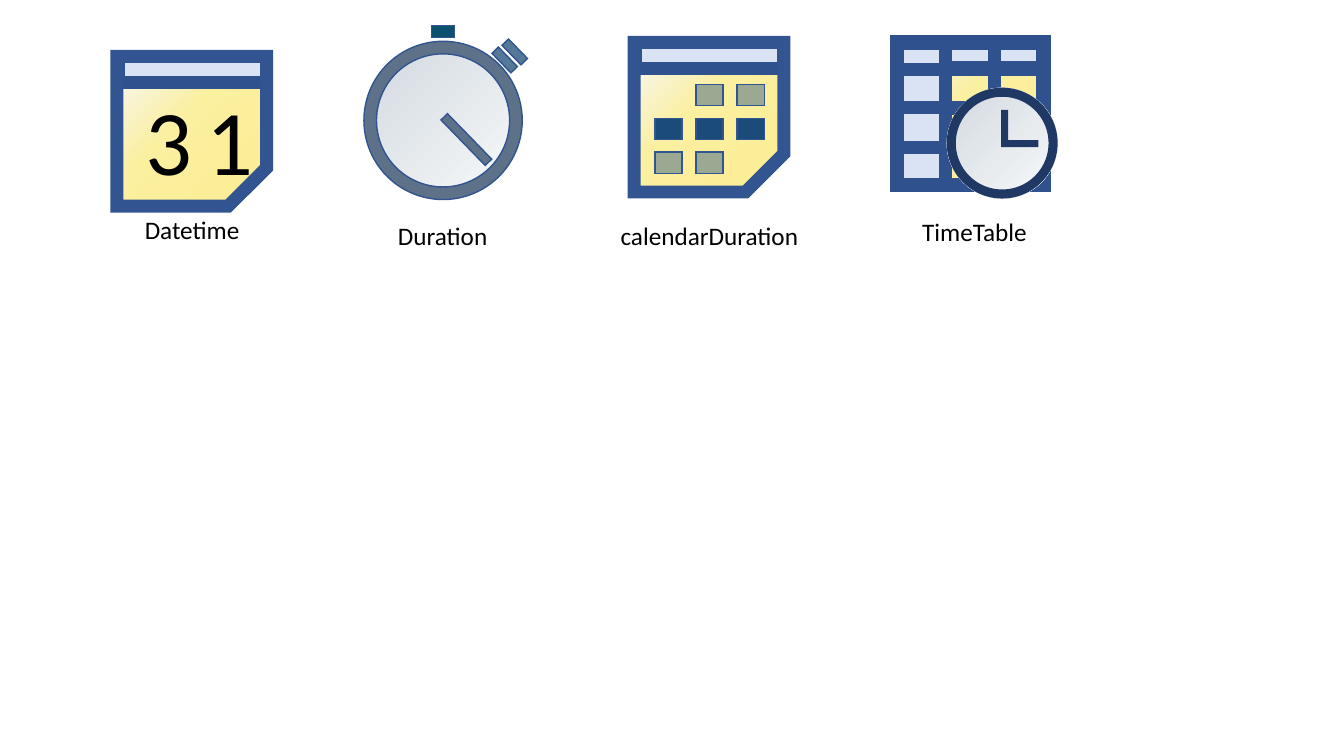
from lxml import etree
from pptx import Presentation
from pptx.dml.color import RGBColor
from pptx.enum.shapes import MSO_SHAPE
from pptx.enum.text import MSO_ANCHOR, MSO_AUTO_SIZE, PP_ALIGN
from pptx.oxml.ns import qn
from pptx.util import Inches, Pt

RECT, OVAL, RING = MSO_SHAPE.RECTANGLE, MSO_SHAPE.OVAL, MSO_SHAPE.DONUT
TOP, MID = MSO_ANCHOR.TOP, MSO_ANCHOR.MIDDLE
CENTER, GROW = PP_ALIGN.CENTER, MSO_AUTO_SIZE.SHAPE_TO_FIT_TEXT

PAPER = [(0, "F6F8FC"), (43, "FBEFA0"), (100, "FCEE94")]
GLASS = [(0, "D0D8DE"), (100, "F9FAFB")]
PALE, FRAME, EDGE = "DAE3F3", "2F528F", "325491"
STEEL, KNOB, NAVY = "5D7288", "547998", "203864"
SAGE, DEEP, TEAL = "9BA993", "1A4B79", "0C516E"
THICK, THIN = (FRAME, 9.25), (EDGE, 1)


def tint(text):
    return RGBColor.from_string(text)


def cell(count):
    """Turn a count of grid cells, ten to the inch, into a length."""
    return Inches(count / 10)


class Pen:
    """Draws icons on a grid of tenth-inch columns and rows."""

    font = {"name": "Calibri", "color": "000000"}

    def __init__(self, slide):
        self.slide = slide
        self.home()

    def home(self):
        self.shapes = self.slide.shapes

    def group(self):
        self.shapes = self.slide.shapes.add_group_shape().shapes

    def style(self, shape, fill, line):
        shape.shadow.inherit = False
        if fill is None:
            shape.fill.background()
        elif isinstance(fill, str):
            shape.fill.solid()
            shape.fill.fore_color.rgb = tint(fill)
        else:
            shape.fill.gradient()
            shape.fill.gradient_angle = 315
            stops = shape._element.spPr.find(".//" + qn("a:gsLst"))
            for old in list(stops):
                stops.remove(old)
            for place, shade in fill:
                stop = etree.SubElement(stops, qn("a:gs"), pos=str(place * 1000))
                etree.SubElement(stop, qn("a:srgbClr"), val=shade)
        if line is None:
            shape.line.fill.background()
            return
        shape.line.color.rgb = tint(line[0])
        shape.line.width = Pt(line[1])
        edge = shape._element.spPr.find(qn("a:ln"))
        etree.SubElement(edge, qn("a:miter"), lim="800000")

    def shape(self, kind, box, fill=None, line=None, turn=0, bends=()):
        shape = self.shapes.add_shape(kind, *map(cell, box))
        shape.rotation = turn
        for spot, bend in enumerate(bends):
            shape.adjustments[spot] = bend
        self.style(shape, fill, line)

    def trace(self, dots, fill=None, line=None):
        start, *rest = [(cell(x), cell(y)) for x, y in dots]
        path = self.shapes.build_freeform(*start)
        path.add_line_segments(rest, close=True)
        self.style(path.convert_to_shape(), fill, line)

    def sheet(self, col, row, size, fold, fill=None, line=None):
        right, base = col + size, row + size
        dots = [(col, row), (right, row), (right, base - fold),
                (right - fold, base), (col, base)]
        self.trace(dots, fill, line)

    def hands(self, col, row, size, thick, fill):
        right, base = col + size, row + size
        dots = [(col, row), (col + thick, row), (col + thick, base - thick),
                (right, base - thick), (right, base), (col, base)]
        self.trace(dots, fill)

    def text(self, words, box, size=18, anchor=TOP, gap=0):
        area = self.shapes.add_textbox(*map(cell, box))
        frame = area.text_frame
        form = {"word_wrap": False, "auto_size": GROW, "vertical_anchor": anchor}
        for key, value in form.items():
            setattr(frame, key, value)
        line = frame.paragraphs[0]
        line.alignment = CENTER
        run = line.add_run()
        run.text = words
        for key, value in {"name": self.font["name"], "size": Pt(size)}.items():
            setattr(run.font, key, value)
        run.font.color.rgb = tint(self.font["color"])
        if gap:
            run._r.get_or_add_rPr().set("spc", str(gap * 100))

    def dial(self, col, row, size, rim, shade, line=None):
        box = (col, row, size, size)
        self.shape(OVAL, box, GLASS)
        self.shape(RING, box, shade, line, bends=[rim / size])

    def page(self, col, row, day=None):
        self.sheet(col + 0.05, row, 14.65, 3.2, PAPER)
        if day:
            self.text(day, (col + 1.1, row + 2.1, 14.2, 12.1), 66, MID, 10)
        self.shape(RECT, (col + 0.15, row, 14.7, 2.6), PALE, THICK)
        self.sheet(col, row, 14.85, 3.8, line=(EDGE, 9.25))


def stopwatch(pen):
    pen.group()
    pen.dial(36.1, 4.1, 15.7, 1.25, STEEL, THIN)
    pen.shape(RECT, (42.8, 2.5, 2.3, 1.2), TEAL, THIN)
    bars = [(48.7, 5.5, 2.7, KNOB), (49.7, 4.7, 2.7, KNOB), (43.1, 13.4, 6.3, STEEL)]
    for col, row, wide, shade in bars:
        pen.shape(RECT, (col, row, wide, 0.9), shade, THIN, 45.8)
    pen.home()


def planner(pen):
    pen.group()
    pen.page(62.9, 4.2)
    weeks = [(SAGE, (1, 2)), (DEEP, (0, 1, 2)), (SAGE, (0, 1))]
    for week, (shade, days) in enumerate(weeks):
        for day in days:
            box = (64.95 + 4.08 * day, 8.4 + 3.35 * week, 2.7, 2.1)
            pen.shape(RECT, box, shade, THIN)
    pen.home()


def table(pen):
    left, wide = 88.9, 14.7
    pen.group()
    pen.shape(RECT, (left, 3.9, wide, 14.6), PAPER)
    pen.shape(RECT, (left, 4.1, wide, 2.6), PALE, THICK)
    pen.shape(RECT, (left, 10.8, wide, 3.8), line=THICK)
    for step, fill in ((2, None), (1, None), (0, PALE)):
        pen.shape(RECT, (84.4 + 4.8 * step, 8.9, 14, 4.8), fill, THICK, 90)
    for row in (6.9, 14.6):
        pen.shape(RECT, (left, row, wide, 3.8), line=THICK)
    pen.text("TimeTable", (90.4, 21, 12.5, 4))
    pen.dial(93.9, 8.7, 11, 0.9, NAVY)
    pen.hands(99.3, 10.9, 3.7, 0.7, NAVY)
    pen.home()


def main():
    deck = Presentation()
    deck.slide_width, deck.slide_height = Inches(13.33), Inches(7.5)
    pen = Pen(deck.slides.add_slide(deck.slide_layouts[6]))
    pen.page(11.6, 5.6, "31")
    pen.text("Datetime", (13.3, 20.8, 11.5, 4))
    stopwatch(pen)
    pen.text("Duration", (38.4, 21.4, 11, 4))
    pen.text("calendarDuration", (60.4, 21.4, 19.9, 4))
    planner(pen)
    table(pen)
    deck.save("out.pptx")


if __name__ == "__main__":
    main()
